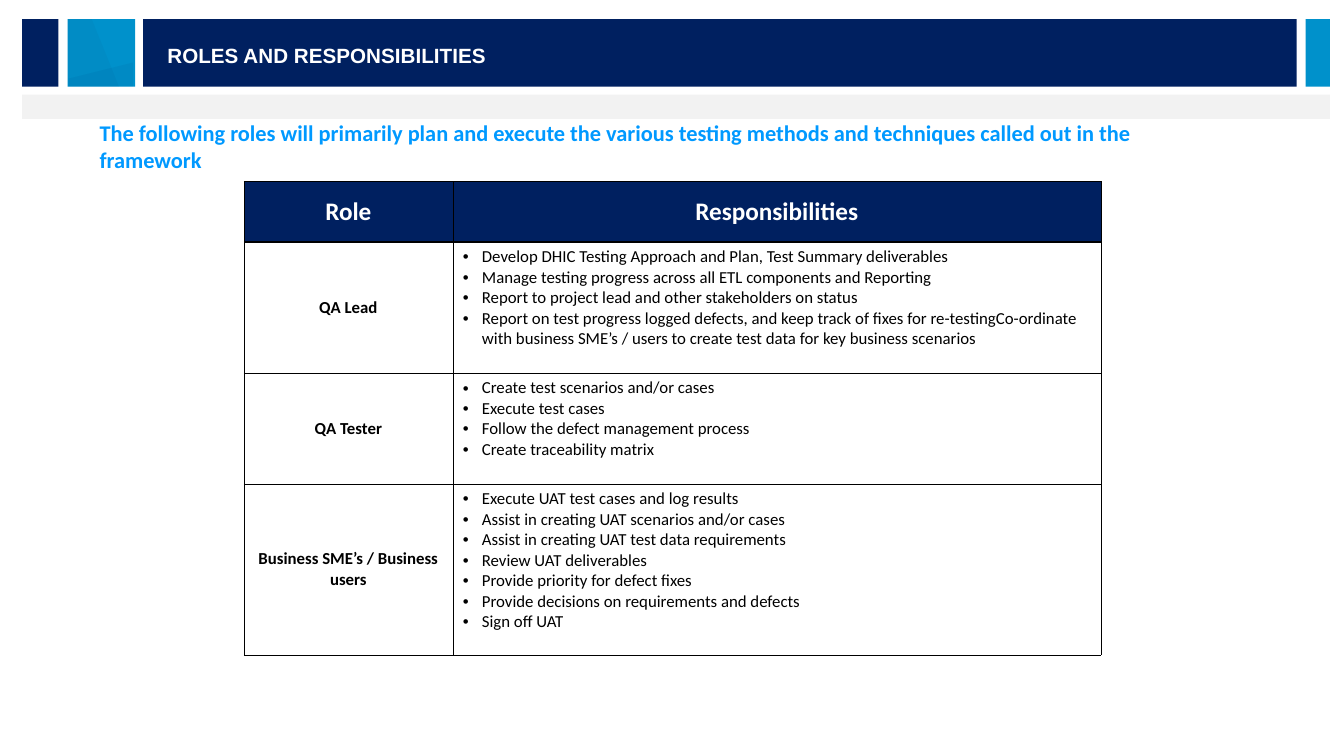
from lxml.etree import SubElement
from pptx import Presentation
from pptx.dml.color import RGBColor
from pptx.enum.shapes import MSO_SHAPE as Shape
from pptx.enum.text import MSO_ANCHOR as Anchor, MSO_AUTO_SIZE as AutoSize, PP_ALIGN as Align
from pptx.oxml.ns import qn
from pptx.util import Pt

PX = 9144
COLORS = {
    "navy": "002060", "blue": "0091CB", "slate": "17375E", "grey": "F2F2F2",
    "sky": "0099FF", "white": "FFFFFF", "black": "000000",
}
HEADINGS = ("Role", "Responsibilities")
ROLES = {
    "QA Lead": (
        "Develop DHIC Testing Approach and Plan, Test Summary deliverables",
        "Manage testing progress across all ETL components and Reporting",
        "Report to project lead and other stakeholders on status",
        "Report on test progress logged defects, and keep track of fixes for re-testingCo-ordinate "
        "with business SME’s / users to create test data for key business scenarios",
    ),
    "QA Tester": (
        "Create test scenarios and/or cases",
        "Execute test cases",
        "Follow the defect management process",
        "Create traceability matrix",
    ),
    "Business SME’s / Business users": (
        "Execute UAT test cases and log results",
        "Assist in creating UAT scenarios and/or cases",
        "Assist in creating UAT test data requirements",
        "Review UAT deliverables",
        "Provide priority for defect fixes",
        "Provide decisions on requirements and defects",
        "Sign off UAT",
    ),
}
COLUMN_WIDTHS = (207, 643)
ROW_HEIGHTS = (60, 130, 110, 170)


def emu(*lengths):
    """Turn px lengths into EMU."""
    return [length * PX for length in lengths]


def apply(target, formats):
    """Set every attribute in a dict of format values."""
    for name, value in formats.items():
        setattr(target, name, value)


def write(paragraph, text, size, color, bold=True, font="Calibri"):
    """Put one formatted run into a paragraph."""
    run = paragraph.add_run()
    run.text = text
    apply(run.font, {"name": font, "size": Pt(size), "bold": bold})
    run.font.color.rgb = RGBColor.from_string(COLORS[color])


def paint(shape, color, alpha=100):
    """Give a shape a plain fill without outline or shadow."""
    shape.shadow.inherit = False
    shape.line.fill.background()
    shape.fill.solid()
    shape.fill.fore_color.rgb = RGBColor.from_string(COLORS[color])
    if alpha < 100:
        tint = shape.fill._xPr.find(".//" + qn("a:srgbClr"))
        SubElement(tint, qn("a:alpha"), val=str(alpha * 1000))


def add_banner(slide, left, top, width, height):
    """Draw the header blocks, the facets, the grey strip and the title."""
    blocks = (
        (120, 0, 1144, 67, "navy"),
        (45, 0, 67, 67, "blue"),
        (0, 0, 36, 67, "navy"),
        (width - 24, 0, 24, 67, "blue"),
        (0, height - 24, width, 24, "grey"),
    )
    for x, y, w, h, color in blocks:
        block = slide.shapes.add_shape(Shape.RECTANGLE, *emu(left + x, top + y, w, h))
        paint(block, color)

    facets = (
        (((45, 0), (69, 0), (96, 67), (45, 67)), "slate", 5),
        (((110, 43), (46, 59), (46, 67), (110, 67)), "navy", 6),
    )
    for points, color, alpha in facets:
        start, *rest = [(left + x, top + y) for x, y in points]
        outline = slide.shapes.build_freeform(*start, scale=PX)
        outline.add_line_segments(rest, close=True)
        paint(outline.convert_to_shape(), color, alpha)

    title = slide.shapes.title
    title.element.getparent().append(title.element)
    apply(title, dict(zip(("left", "top", "width", "height"), emu(left + 134, top + 19, 822, 33))))
    apply(title.text_frame, {"vertical_anchor": Anchor.MIDDLE, "auto_size": AutoSize.NONE})
    heading = title.text_frame.paragraphs[0]
    heading.alignment = Align.LEFT
    write(heading, "ROLES AND RESPONSIBILITIES", 14.7, "white", font="Arial")


def add_lead(slide, left, top, width, height):
    """Place the introductory sentence."""
    lead = slide.shapes.add_textbox(*emu(left, top, width, height)).text_frame
    lead.word_wrap = True
    write(lead.paragraphs[0],
          "The following roles will primarily plan and execute the various testing methods "
          "and techniques called out in the framework", 16, "sky")


def add_borders(cell, top, bottom):
    """Draw the four black borders of a cell, widths in points."""
    properties = cell._tc.get_or_add_tcPr()
    for side, points in {"L": 0.25, "R": 0.25, "T": top, "B": bottom}.items():
        border = SubElement(properties, qn(f"a:ln{side}"), w=str(Pt(points)))
        fill = SubElement(border, qn("a:solidFill"))
        SubElement(fill, qn("a:srgbClr"), val=COLORS["black"])


def fill_label(cell, text, size, color):
    """Write a centred bold label in a cell."""
    cell.vertical_anchor = Anchor.MIDDLE
    label = cell.text_frame.paragraphs[0]
    label.alignment = Align.CENTER
    write(label, text, size, color)


def fill_duties(cell, duties):
    """Write the bulleted duties of a role."""
    frame = cell.text_frame
    for index, duty in enumerate(duties):
        paragraph = frame.add_paragraph() if index else frame.paragraphs[0]
        properties = paragraph._p.get_or_add_pPr()
        indent = 19 * PX
        properties.set("marL", str(indent))
        properties.set("indent", str(-indent))
        SubElement(properties, qn("a:buFont"), typeface="Arial")
        SubElement(properties, qn("a:buChar"), char="•")
        write(paragraph, duty, 12, "black", bold=False)


def add_roles_table(slide, left, top, width, height):
    """Build the table of roles and responsibilities."""
    frame = slide.shapes.add_table(len(ROLES) + 1, len(HEADINGS), *emu(left, top, width, height))
    table = frame.table
    apply(table, {"first_row": False, "horz_banding": False})
    for column, column_width in zip(table.columns, emu(*COLUMN_WIDTHS)):
        column.width = column_width
    for row, row_height in zip(table.rows, emu(*ROW_HEIGHTS)):
        row.height = row_height

    for index, heading in enumerate(HEADINGS):
        cell = table.cell(0, index)
        add_borders(cell, 0.25, 1)
        cell.fill.solid()
        cell.fill.fore_color.rgb = RGBColor.from_string(COLORS["navy"])
        fill_label(cell, heading, 18, "white")

    for index, (role, duties) in enumerate(ROLES.items(), 1):
        role_cell, duties_cell = table.rows[index].cells
        for cell in (role_cell, duties_cell):
            add_borders(cell, 1 if index == 1 else 0.25, 0.25)
            cell.fill.background()
        fill_label(role_cell, role, 12, "black")
        fill_duties(duties_cell, duties)


def main():
    """Build and save the presentation."""
    deck = Presentation()
    deck.slide_width, deck.slide_height = emu(1333, 750)
    slide = deck.slides.add_slide(deck.slide_layouts[5])
    add_banner(slide, 22, 19, 1297, 99)
    add_lead(slide, 89, 113, 1149, 64)
    add_roles_table(slide, 242, 180, sum(COLUMN_WIDTHS), sum(ROW_HEIGHTS))
    deck.save("out.pptx")


if __name__ == "__main__":
    main()
